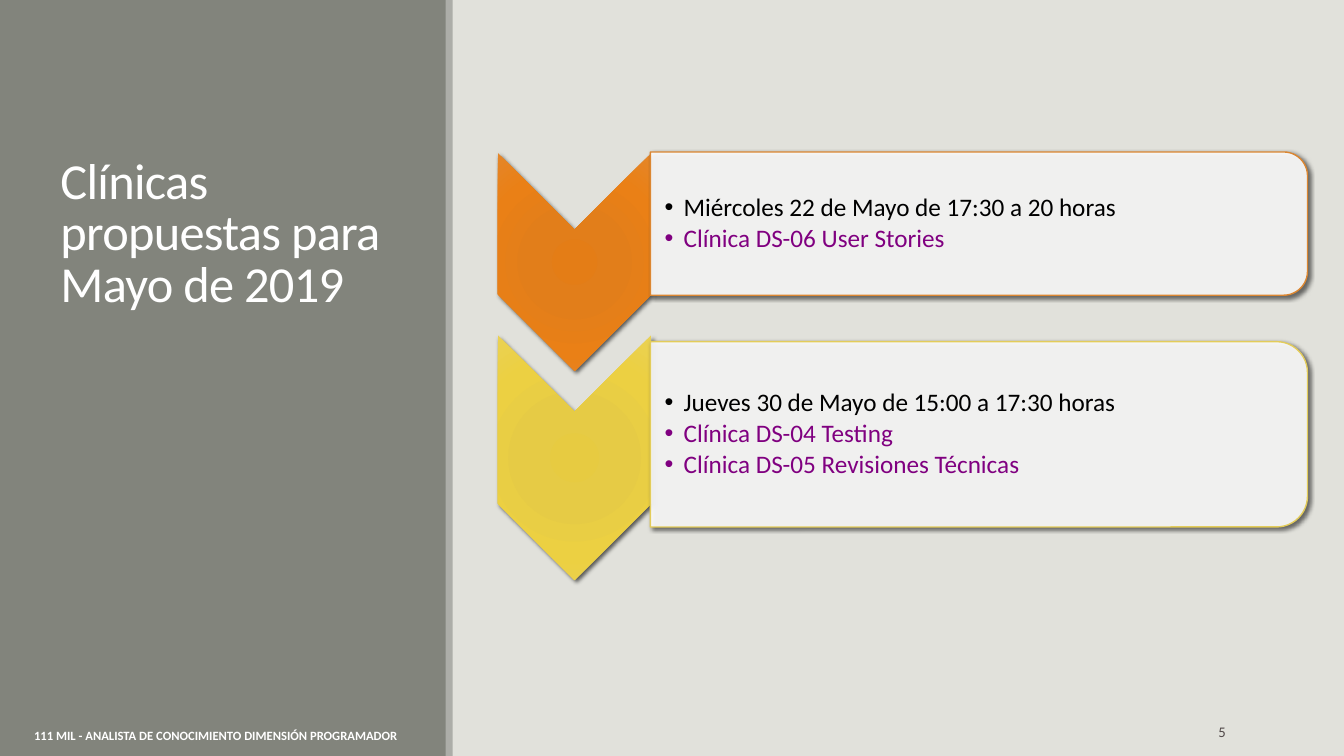
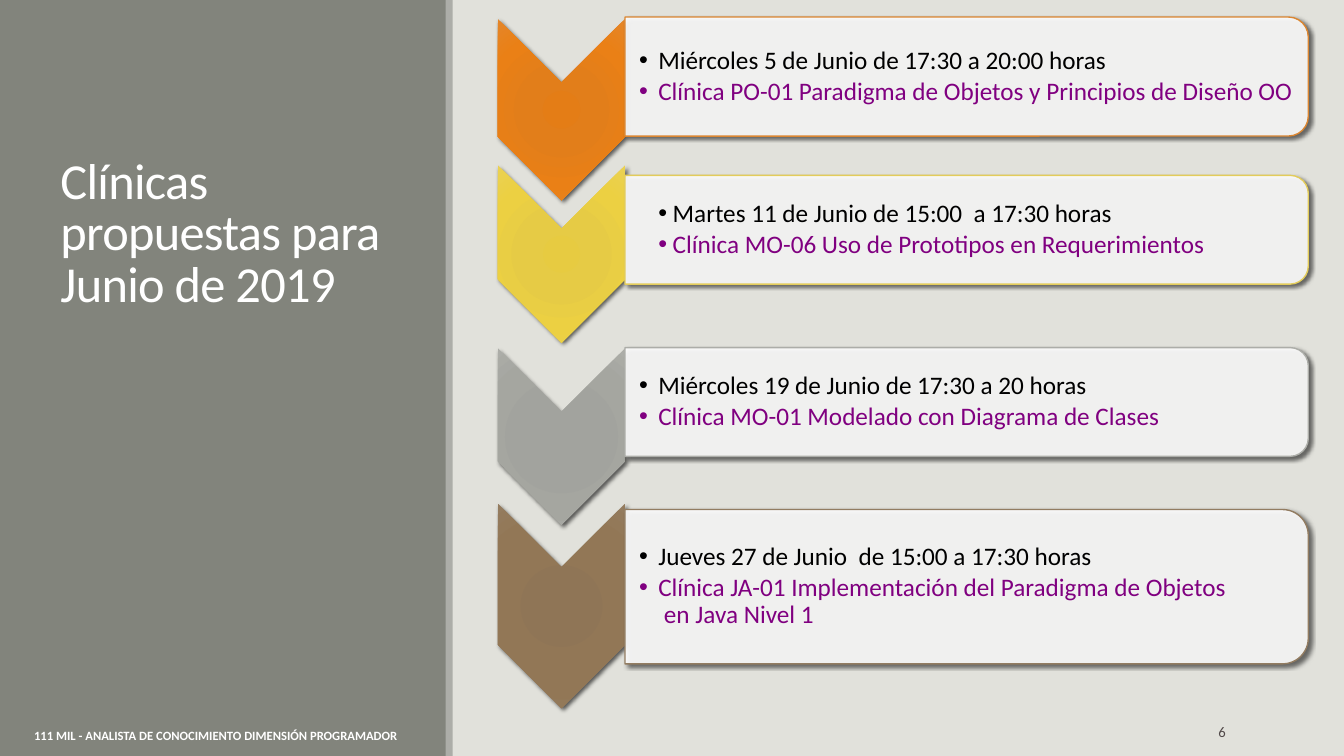
import dataclasses
import typing

import pptx
import pptx.dml.color
import pptx.enum.shapes
import pptx.enum.text
import pptx.oxml
import pptx.oxml.ns
import pptx.util

Cm = pptx.util.Cm
Pt = pptx.util.Pt
RGBColor = pptx.dml.color.RGBColor
Form = pptx.enum.shapes.MSO_SHAPE
Align = pptx.enum.text.PP_ALIGN
Anchor = pptx.enum.text.MSO_ANCHOR
qn = pptx.oxml.ns.qn

PAPER = RGBColor(0xE1, 0xE1, 0xDB)
PANEL = RGBColor(0x82, 0x84, 0x7C)
STRIPE = RGBColor(0xAC, 0xAD, 0xA8)
WHITE = RGBColor(0xFF, 0xFF, 0xFF)
BLACK = RGBColor(0x00, 0x00, 0x00)
PURPLE = RGBColor(0x80, 0x00, 0x80)
NUMBER = RGBColor(0x51, 0x49, 0x49)

FONT = "Calibri"
FOOTER = "111 MIL - ANALISTA DE CONOCIMIENTO DIMENSIÓN PROGRAMADOR"
LEFT = 12.55
HANG = 0.48
STOPS = (0, 34, 70, 100)


@dataclasses.dataclass(frozen=True)
class Tone:
    line: RGBColor
    stops: tuple[RGBColor, ...]


ORANGE = Tone(RGBColor(0xDB, 0x86, 0x31), (
    RGBColor(0xE4, 0x7D, 0x16), RGBColor(0xE2, 0x7E, 0x1A),
    RGBColor(0xEA, 0x80, 0x16), RGBColor(0xE4, 0x86, 0x29)))
YELLOW = Tone(RGBColor(0xE3, 0xCC, 0x5A), (
    RGBColor(0xE7, 0xCB, 0x41), RGBColor(0xE6, 0xCB, 0x45),
    RGBColor(0xEC, 0xD0, 0x42), RGBColor(0xEA, 0xD1, 0x53)))
GREY = Tone(STRIPE, (
    RGBColor(0xA1, 0xA2, 0x9C), RGBColor(0xA2, 0xA3, 0x9E),
    RGBColor(0xA5, 0xA6, 0xA0), STRIPE))
BROWN = Tone(RGBColor(0x92, 0x7C, 0x61), (
    RGBColor(0x8F, 0x74, 0x54), RGBColor(0x8F, 0x75, 0x56),
    RGBColor(0x92, 0x77, 0x56), RGBColor(0x94, 0x7C, 0x5F)))


@dataclasses.dataclass(frozen=True)
class Box:
    left: float
    top: float
    width: float
    height: float

    def cm(self) -> tuple[pptx.util.Length, ...]:
        return Cm(self.left), Cm(self.top), Cm(self.width), Cm(self.height)


@dataclasses.dataclass(frozen=True)
class Row:
    tone: Tone
    arrow: tuple[float, float]
    card: tuple[float, float]
    lines: tuple[str, ...]
    indent: float = -HANG


@dataclasses.dataclass(frozen=True)
class Page:
    title: str
    number: str
    arrow: float
    card: Box
    rows: tuple[Row, ...]


PAGES = (
    Page("Clínicas propuestas para Mayo de 2019", "5", 3.86, Box(16.39, 0, 16.56, 0), (
        Row(ORANGE, (3.86, 5.49), (3.83, 3.61), (
            "Miércoles 22 de Mayo de 17:30 a 20 horas",
            "Clínica DS-06 User Stories")),
        Row(YELLOW, (8.45, 6.17), (8.61, 4.67), (
            "Jueves 30 de Mayo de 15:00 a 17:30 horas",
            "Clínica DS-04 Testing",
            "Clínica DS-05 Revisiones Técnicas")),
    )),
    Page("Clínicas propuestas para Junio de 2019", "6", 3.2, Box(15.75, 0, 17.22, 0), (
        Row(ORANGE, (0.48, 4.57), (0.43, 3), (
            "Miércoles 5 de Junio de 17:30 a 20:00 horas",
            "Clínica PO-01 Paradigma de Objetos y Principios de Diseño OO")),
        Row(YELLOW, (4.17, 4.47), (4.42, 2.74), (
            " Martes 11 de Junio de 15:00  a 17:30 horas",
            " Clínica MO-06 Uso de Prototipos en Requerimientos"), 0),
        Row(GREY, (8.78, 4.45), (8.76, 2.74), (
            "Miércoles 19 de Junio de 17:30 a 20 horas",
            "Clínica MO-01 Modelado con Diagrama de Clases")),
        Row(BROWN, (12.69, 5.16), (12.84, 3.89), (
            "Jueves 27 de Junio  de 15:00 a 17:30 horas",
            "Clínica JA-01 Implementación del Paradigma de Objetos\n en Java Nivel 1")),
    )),
)


def node(xml: str) -> typing.Any:
    head, tail = xml.split(">", 1)
    return pptx.oxml.parse_xml(f"{head} {pptx.oxml.ns.nsdecls('a')}>{tail}")


def style(para: typing.Any, size: float, color: RGBColor, bold: bool = False) -> None:
    for run in para.runs:
        run.font.name = FONT
        run.font.size = Pt(size)
        run.font.bold = bold
        run.font.color.rgb = color


def band(slide: typing.Any, box: Box, color: RGBColor, depth: int) -> None:
    shape = slide.shapes.add_shape(Form.RECTANGLE, *box.cm())
    shape.shadow.inherit = False
    shape.fill.solid()
    shape.fill.fore_color.rgb = color
    shape.line.fill.background()
    slide.shapes.element.insert(depth, shape.element)


def turned(slide: typing.Any, form: typing.Any, box: Box) -> typing.Any:
    shift = (box.width - box.height) / 2
    frame = Box(box.left + shift, box.top - shift, box.height, box.width)
    shape = slide.shapes.add_shape(form, *frame.cm())
    shape.rotation = 90
    shape.shadow.inherit = False
    shape.fill.solid()
    shape.fill.fore_color.rgb = WHITE
    shape.element.spPr.find(qn("a:effectLst")).append(node(
        f'<a:outerShdw blurRad="{Pt(3)}" dist="{Pt(2)}" dir="2700000" rotWithShape="0">'
        f'<a:srgbClr val="{BLACK}"><a:alpha val="60000"/></a:srgbClr></a:outerShdw>'))
    return shape


def arrow(slide: typing.Any, box: Box, tone: Tone) -> None:
    shape = turned(slide, Form.CHEVRON, box)
    shape.line.fill.background()
    stops = "".join(
        f'<a:gs pos="{stop * 1000}"><a:srgbClr val="{color}"/></a:gs>'
        for stop, color in zip(STOPS, tone.stops))
    props = shape.element.spPr
    props.replace(props.find(qn("a:solidFill")), node(
        f'<a:gradFill rotWithShape="1"><a:gsLst>{stops}</a:gsLst><a:path path="circle">'
        '<a:fillToRect l="100000" t="100000" r="100000" b="100000"/></a:path></a:gradFill>'))


def card(slide: typing.Any, box: Box, tone: Tone) -> None:
    shape = turned(slide, Form.ROUND_2_SAME_RECTANGLE, box)
    shape.line.color.rgb = tone.line
    shape.line.width = Pt(1)
    fill = shape.element.spPr.find(qn("a:solidFill"))
    fill[0].append(node('<a:alpha val="90000"></a:alpha>'))


def label(slide: typing.Any, box: Box) -> typing.Any:
    frame = slide.shapes.add_textbox(*box.cm()).text_frame
    frame.word_wrap = True
    frame.vertical_anchor = Anchor.MIDDLE
    return frame


def bullets(slide: typing.Any, box: Box, row: Row) -> None:
    frame = label(slide, box)
    frame.margin_left = Cm(0.36)
    frame.margin_top = frame.margin_right = frame.margin_bottom = Cm(0.03)
    for index, line in enumerate(row.lines):
        para = frame.add_paragraph() if index else frame.paragraphs[0]
        para.text = line
        para.line_spacing = 0.9
        para.space_after = Pt(2.5)
        style(para, 18, PURPLE if index else BLACK)
        props = para._p.get_or_add_pPr()
        props.set("marL", str(Cm(HANG)))
        props.set("indent", str(Cm(row.indent)))
        props.append(node('<a:buFont typeface="Arial"></a:buFont>'))
        props.append(node('<a:buChar char="•"></a:buChar>'))


def title(slide: typing.Any, text: str) -> None:
    shape = slide.shapes.title
    shape.left, shape.top, shape.width, shape.height = Box(1.27, 1.65, 8.89, 6.35).cm()
    frame = shape.text_frame
    frame.text = text
    frame.word_wrap = True
    frame.auto_size = pptx.enum.text.MSO_AUTO_SIZE.NONE
    frame.vertical_anchor = Anchor.BOTTOM
    para = frame.paragraphs[0]
    para.alignment = Align.LEFT
    para.line_spacing = 0.85
    style(para, 36, WHITE)
    for props in shape.element.iter(qn("a:rPr")):
        props.set("spc", "-50")


def note(slide: typing.Any, box: Box, text: str, size: float, color: RGBColor,
         align: typing.Any, bold: bool) -> None:
    frame = label(slide, box)
    frame.text = text
    frame.paragraphs[0].alignment = align
    style(frame.paragraphs[0], size, color, bold)


def draw(deck: typing.Any, page: Page) -> None:
    slide = deck.slides.add_slide(deck.slide_layouts[5])
    band(slide, Box(0, 0, 11.25, 19.05), PANEL, 2)
    band(slide, Box(11.23, 0, 0.18, 19.05), STRIPE, 3)
    title(slide, page.title)
    for row in page.rows:
        top, height = row.card
        box = dataclasses.replace(page.card, top=top, height=height)
        arrow(slide, Box(LEFT, row.arrow[0], page.arrow, row.arrow[1]), row.tone)
        card(slide, box, row.tone)
        bullets(slide, box, row)
    note(slide, Box(27.51, 17.93, 3.63, 1.02), page.number, 10.5, NUMBER, Align.RIGHT, False)
    note(slide, Box(0.61, 18.03, 12.9, 1.02), FOOTER, 9, WHITE, Align.LEFT, True)


def main() -> None:
    deck = pptx.Presentation()
    deck.slide_width, deck.slide_height = Cm(33.87), Cm(19.05)
    paper = deck.slide_master.background.fill
    paper.solid()
    paper.fore_color.rgb = PAPER
    for page in PAGES:
        draw(deck, page)
    deck.save("out.pptx")


if __name__ == "__main__":
    main()
